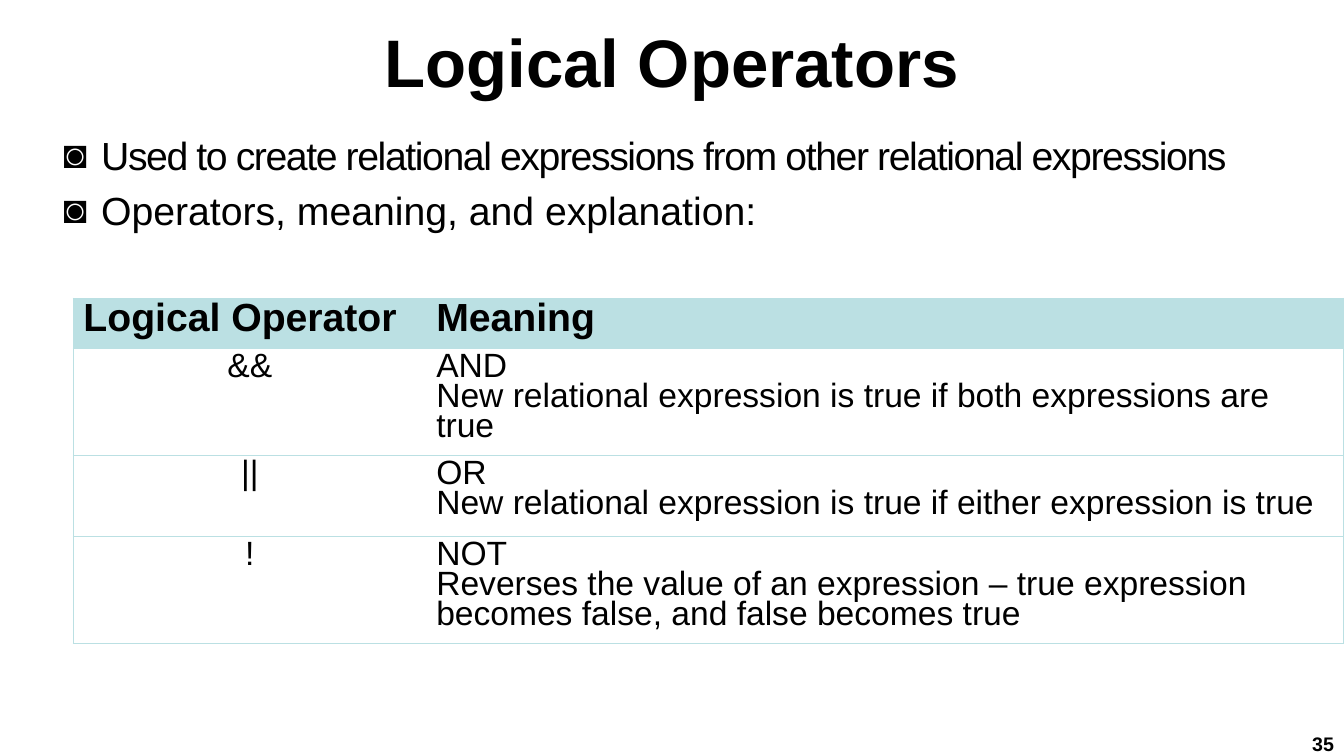
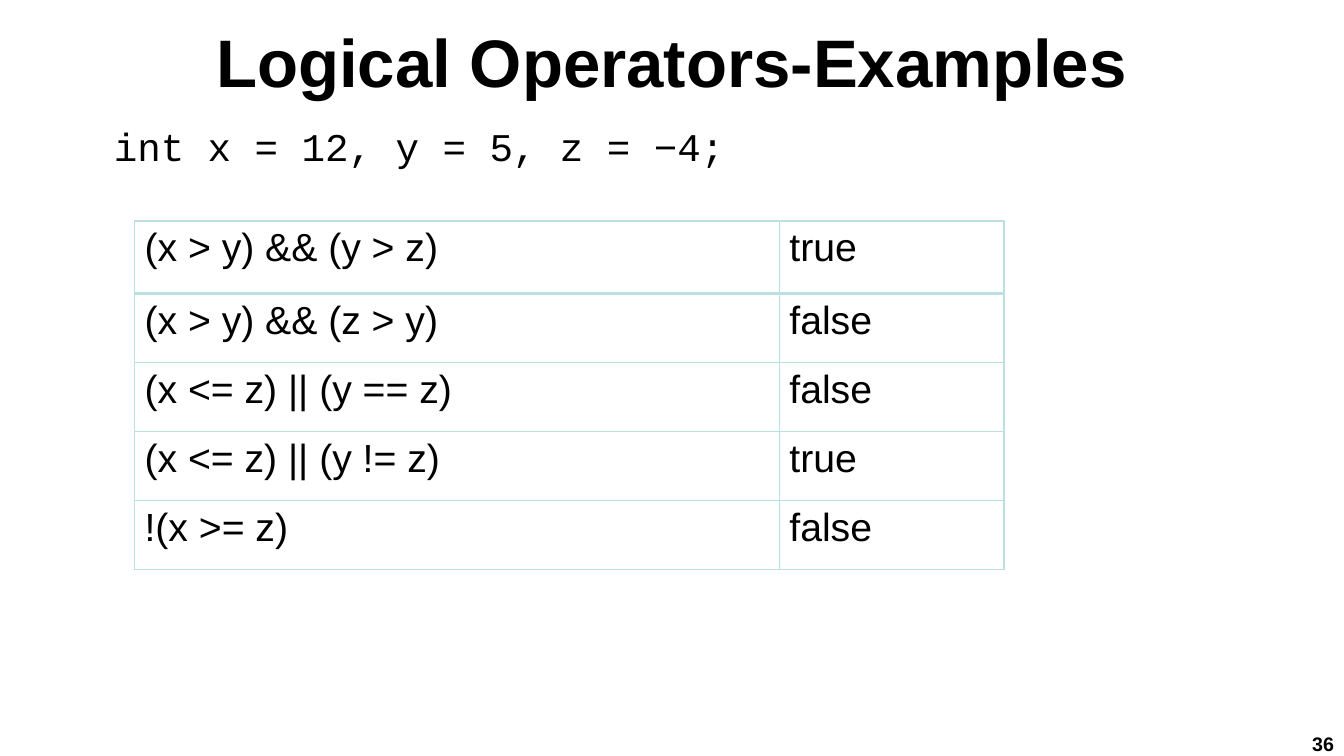
from dataclasses import dataclass

from lxml.etree import SubElement
from pptx import Presentation
from pptx.dml.color import RGBColor
from pptx.enum.text import MSO_ANCHOR, PP_ALIGN
from pptx.oxml import parse_xml
from pptx.oxml.ns import nsdecls, qn
from pptx.slide import Slide
from pptx.table import Table, _Cell
from pptx.text.text import TextFrame
from pptx.util import Cm, Pt

COLORS = {"text": "000000", "accent": "BBE0E3", "paper": "FFFFFF"}
FONT, CODE_FONT = "Arial", "Courier New"
WIDTH, HEIGHT = 33.87, 19.05
NO_GRID_STYLE = "{2D5ABB26-0587-4C30-8999-92F81FD0307C}"


@dataclass(frozen=True)
class Box:
    """Position and size in centimetres."""
    left: float
    top: float
    width: float
    height: float

    def lengths(self) -> tuple[Cm, Cm, Cm, Cm]:
        return Cm(self.left), Cm(self.top), Cm(self.width), Cm(self.height)


@dataclass(frozen=True)
class Operator:
    symbol: str
    name: str
    explanation: str


@dataclass(frozen=True)
class Example:
    expression: str
    value: str


TITLE = Box(0, 0, WIDTH, 3.05)
BODY = Box(1.35, 3.18, 32.52, 15.24)
NUMBER = Box(32.33, 18.42, 1.54, 0.63)

OPERATORS = [
    Operator("&&", "AND", "New relational expression is true if both expressions are true"),
    Operator("||", "OR", "New relational expression is true if either expression is true"),
    Operator("!", "NOT", "Reverses the value of an expression – true expression "
                         "becomes false, and false becomes true"),
]
EXAMPLES = [
    Example("(x > y) && (y > z)", "true"),
    Example("(x > y) && (z > y)", "false"),
    Example("(x <= z) || (y == z)", "false"),
    Example("(x <= z) || (y != z)", "true"),
    Example("!(x >= z)", "false"),
]


def add_text(tf: TextFrame, text: str, *, size: float = 28, font: str = FONT,
             bold: bool = False, align: PP_ALIGN = PP_ALIGN.LEFT,
             line_spacing: float = 1.0, before: float = 0, margin: float = 0,
             indent: float = 0, bullet: str = "", tracking: float = 0) -> None:
    """Append a paragraph, filling the empty first one if there is one."""
    p = tf.paragraphs[0]
    if p.runs:
        p = tf.add_paragraph()
    p.alignment, p.line_spacing, p.space_before = align, line_spacing, Pt(before)
    pPr = p._p.get_or_add_pPr()
    pPr.set("marL", str(Cm(margin)))
    pPr.set("indent", str(Cm(indent)))
    if bullet:
        color = SubElement(pPr, qn("a:buClr"))
        SubElement(color, qn("a:srgbClr"), val=COLORS["text"])
        SubElement(pPr, qn("a:buFont"), typeface=FONT)
        SubElement(pPr, qn("a:buChar"), char=bullet)
    r = p.add_run()
    r.text = text
    r.font.size, r.font.name, r.font.bold = Pt(size), font, bold
    r.font.color.rgb = RGBColor.from_string(COLORS["text"])
    if tracking:
        r._r.get_or_add_rPr().set("spc", str(round(tracking * 100)))


def add_box(slide: Slide, box: Box, anchor: MSO_ANCHOR = MSO_ANCHOR.TOP) -> TextFrame:
    tf = slide.shapes.add_textbox(*box.lengths()).text_frame
    tf.word_wrap = True
    tf.vertical_anchor = anchor
    return tf


def add_slide(prs: Presentation, title: str, number: int) -> tuple[Slide, TextFrame]:
    """Add a titled, numbered slide and return it with its body text."""
    slide = prs.slides.add_slide(prs.slide_layouts[6])
    add_text(add_box(slide, TITLE, MSO_ANCHOR.MIDDLE), title,
             size=48, bold=True, align=PP_ALIGN.CENTER)
    body = add_box(slide, BODY)
    tf = add_box(slide, NUMBER, MSO_ANCHOR.MIDDLE)
    tf.margin_top = tf.margin_bottom = 0
    add_text(tf, str(number), size=14, bold=True, align=PP_ALIGN.RIGHT)
    return slide, body


def add_table(slide: Slide, left: float, top: float,
              columns: list[float], rows: list[float]) -> Table:
    box = Box(left, top, sum(columns), sum(rows))
    table = slide.shapes.add_table(len(rows), len(columns), *box.lengths()).table
    table.first_row = table.horz_banding = False
    table._tbl.tblPr.find(qn("a:tableStyleId")).text = NO_GRID_STYLE
    for column, width in zip(table.columns, columns):
        column.width = Cm(width)
    for row, height in zip(table.rows, rows):
        row.height = Cm(height)
    return table


def style_cell(cell: _Cell, fill: str, **borders: float) -> None:
    """Fill a cell and draw the borders given as side=width in points."""
    cell.fill.solid()
    cell.fill.fore_color.rgb = RGBColor.from_string(COLORS[fill])
    tcPr = cell._tc.get_or_add_tcPr()
    sides = [side for side in "LRTB" if side in borders]
    for position, side in enumerate(sides):
        tcPr.insert(position, parse_xml(
            f'<a:ln{side} {nsdecls("a")} w="{Pt(borders[side])}"><a:solidFill>'
            f'<a:srgbClr val="{COLORS["accent"]}"/></a:solidFill></a:ln{side}>'))


def add_operators_slide(prs: Presentation) -> None:
    slide, body = add_slide(prs, "Logical Operators", 35)
    bullet = dict(before=6, margin=0.95, indent=-0.95, bullet="◙")
    add_text(body, "Used to create relational expressions from other relational expressions",
             tracking=-1, **bullet)
    add_text(body, "Operators, meaning, and explanation:", **bullet)

    table = add_table(slide, 1.85, 7.52, [8.89, 23.11], [1.27] + [2.03] * len(OPERATORS))
    for i in range(len(table.rows)):
        fill = "paper" if i else "accent"
        style_cell(table.cell(i, 0), fill, L=1, T=1, B=1)
        style_cell(table.cell(i, 1), fill, R=1, T=1, B=1)
    for j, heading in enumerate(["Logical Operator", "Meaning"]):
        add_text(table.cell(0, j).text_frame, heading, bold=True, line_spacing=0.8)
    for i, operator in enumerate(OPERATORS, start=1):
        add_text(table.cell(i, 0).text_frame, operator.symbol, size=24,
                 align=PP_ALIGN.CENTER, line_spacing=0.8)
        for line in (operator.name, operator.explanation):
            add_text(table.cell(i, 1).text_frame, line, size=24, line_spacing=0.8)


def add_examples_slide(prs: Presentation) -> None:
    slide, body = add_slide(prs, "Logical Operators-Examples", 36)
    add_text(body, "int x = 12, y = 5, z = −4;", font=CODE_FONT,
             line_spacing=0.8, before=6, margin=2.22, indent=-0.95)

    table = add_table(slide, 3.39, 5.57, [16.25, 5.66], [1.83, 1.74, 1.74, 1.74, 1.74])
    for i, example in enumerate(EXAMPLES):
        for j, text in enumerate((example.expression, example.value)):
            cell = table.cell(i, j)
            style_cell(cell, "paper", L=1, R=1, T=2 if i == 1 else 1, B=1 if i else 2)
            add_text(cell.text_frame, text)


def main() -> None:
    prs = Presentation()
    prs.slide_width, prs.slide_height = Cm(WIDTH), Cm(HEIGHT)
    add_operators_slide(prs)
    add_examples_slide(prs)
    prs.save("out.pptx")


if __name__ == "__main__":
    main()
